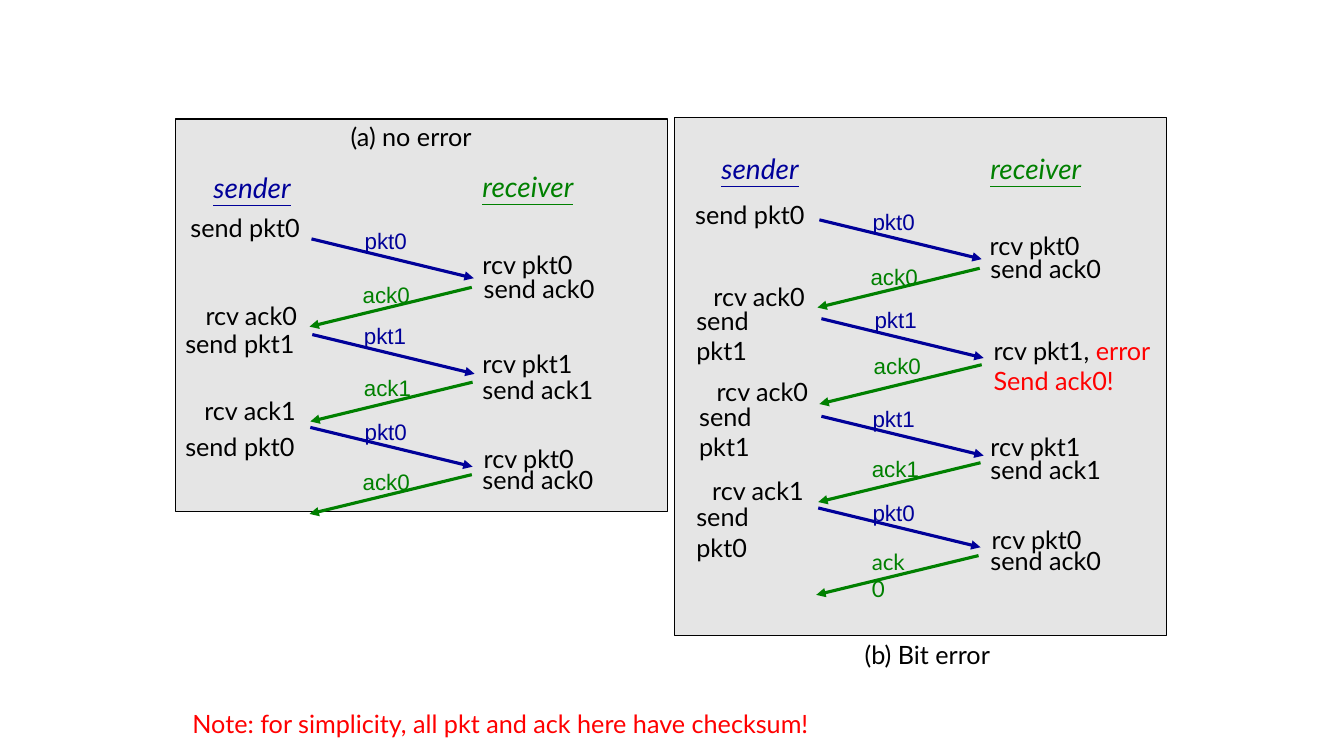
from dataclasses import dataclass
from typing import Any

from pptx import Presentation
from pptx import util as u
from pptx.dml.color import RGBColor
from pptx.enum import shapes, text
from pptx.oxml.ns import qn
from lxml import etree

COLORS = {"panel": "E5E5E5", "ink": "000000", "packet": "000099",
          "ack": "008000", "error": "FF0000"}
ARROW_WIDTH, ARROW_DROP = 4.09, 0.99
MESSAGE_WIDTHS = {"packet": 1.65, "ack": 1.75}


@dataclass
class Diagram:
    slide: Any
    body_font: str = "Lato"
    message_font: str = "Arial"

    def panel(self, left, top, width, height):
        area = self.slide.shapes.add_shape(
            shapes.MSO_SHAPE.RECTANGLE, u.Cm(left), u.Cm(top), u.Cm(width), u.Cm(height))
        area.shadow.inherit = False
        area.fill.solid()
        area.fill.fore_color.rgb = RGBColor.from_string(COLORS["panel"])
        area.line.color.rgb = RGBColor.from_string(COLORS["ink"])
        area.line.width = u.Pt(0.75)

    def label(self, left, top, width, lines, size=18, font=None, heading=False):
        height = size / 18 * len(lines)
        frame = self.slide.shapes.add_textbox(
            u.Cm(left), u.Cm(top), u.Cm(width), u.Cm(height)).text_frame
        frame.word_wrap = True
        frame.auto_size = text.MSO_AUTO_SIZE.SHAPE_TO_FIT_TEXT
        for index, line in enumerate(lines):
            paragraph = frame.add_paragraph() if index else frame.paragraphs[0]
            for words, color in line:
                run = paragraph.add_run()
                run.text = words
                run.font.size = u.Pt(size)
                run.font.name = font or self.body_font
                run.font.color.rgb = RGBColor.from_string(COLORS[color])
                if heading:
                    run.font.italic = run.font.underline = True

    def heading(self, left, top, width, words, color):
        self.label(left, top, width, [[(words, color)]], size=20, heading=True)

    def step(self, left, top, words, width=3.35):
        self.label(left, top, width, [[(words, "ink")]])

    def arrow(self, left, top, color):
        start, end = left, left + ARROW_WIDTH
        if color == "ack":
            start, end = end, start
        line = self.slide.shapes.add_connector(
            shapes.MSO_CONNECTOR.STRAIGHT,
            u.Cm(start), u.Cm(top), u.Cm(end), u.Cm(top + ARROW_DROP))
        line.line.color.rgb = RGBColor.from_string(COLORS[color])
        line.line.width = u.Pt(2.25)
        etree.SubElement(line.line._get_or_add_ln(), qn("a:tailEnd"), type="triangle")
        etree.SubElement(line._element.spPr, qn("a:effectLst"))

    def message(self, words, left, top, label_left, label_top, width=None, font=None):
        color = "ack" if words.startswith("ack") else "packet"
        self.arrow(left, top, color)
        self.label(label_left, label_top, width or MESSAGE_WIDTHS[color],
                   [[(words, color)]], size=16, font=font or self.message_font)


NARROW = 3.24
PANELS = [(16.99, 2.95, 12.4, 13.06), (4.42, 3, 12.4, 9.9)]
HEADINGS = [
    (5.13, 4.17, 2.6, "sender", "packet"),
    (11.91, 4.14, 2.97, "receiver", "ack"),
    (17.93, 3.68, 2.6, "sender", "packet"),
    (24.71, 3.68, 2.97, "receiver", "ack"),
]
NO_ERROR_STEPS = [
    (4.55, 5.23, "send pkt0"),
    (4.93, 7.44, "rcv ack0"),
    (4.42, 8.15, "send pkt1"),
    (4.9, 9.83, "rcv ack1"),
    (4.42, 10.74, "send pkt0"),
    (11.91, 6.17, "rcv pkt0"),
    (11.94, 6.76, "send ack0"),
    (11.91, 8.66, "rcv pkt1"),
    (11.91, 9.3, "send ack1"),
    (11.94, 11.05, "rcv pkt0"),
    (11.91, 11.58, "send ack0"),
]
BIT_ERROR_STEPS = [
    (17.27, 4.9, "send pkt0"),
    (17.73, 6.96, "rcv ack0"),
    (17.3, 7.57, "send pkt1", NARROW),
    (17.81, 9.37, "rcv ack0"),
    (17.37, 9.98, "send pkt1", NARROW),
    (17.7, 11.86, "rcv ack1"),
    (17.3, 12.52, "send pkt0", NARROW),
    (24.69, 5.69, "rcv pkt0"),
    (24.71, 6.27, "send ack0"),
    (24.71, 10.74, "rcv pkt1"),
    (24.71, 11.33, "send ack1"),
    (24.74, 13.08, "rcv pkt0"),
    (24.71, 13.61, "send ack0"),
]
NO_ERROR_MESSAGES = [
    ("pkt0", 7.85, 6.02, 8.94, 5.59),
    ("ack0", 7.8, 7.24, 8.89, 6.96),
    ("pkt1", 7.87, 8.43, 8.92, 8),
    ("ack1", 7.82, 9.63, 8.92, 9.3),
    ("pkt0", 7.82, 10.77, 8.94, 10.41),
    ("ack0", 7.8, 11.96, 8.89, 11.66),
]
BIT_ERROR_MESSAGES = [
    ("pkt0", 20.65, 5.54, 21.74, 5.11),
    ("ack0", 20.6, 6.76, 21.69, 6.5),
    ("pkt1", 20.7, 8.03, 21.79, 7.59),
    ("ack0", 20.65, 9.19, 21.77, 8.76),
    ("pkt1", 20.7, 10.49, 21.74, 10.08),
    ("ack1", 20.62, 11.66, 21.72, 11.35),
    ("pkt0", 20.62, 12.8, 21.74, 12.45),
    ("ack0", 20.57, 14, 21.72, 13.69, 1.64, "Lato"),
]


def main():
    deck = Presentation()
    deck.slide_width, deck.slide_height = u.Cm(33.87), u.Cm(19.05)
    diagram = Diagram(deck.slides.add_slide(deck.slide_layouts[6]))
    for panel in PANELS:
        diagram.panel(*panel)
    for heading in HEADINGS:
        diagram.heading(*heading)
    for step in NO_ERROR_STEPS + BIT_ERROR_STEPS:
        diagram.step(*step)
    for message in NO_ERROR_MESSAGES + BIT_ERROR_MESSAGES:
        diagram.message(*message)
    diagram.step(8.59, 2.92, "(a) no error", 3.81)
    diagram.step(21.54, 15.98, "(b) Bit error", 3.89)
    diagram.label(24.79, 8.33, 4.57, [
        [("rcv pkt1, ", "ink"), ("error", "error")],
        [("Send ack0!", "error")],
    ])
    diagram.label(4.6, 17.73, 16.51, [
        [("Note: for simplicity, all pkt and ack here have checksum!", "error")],
    ])
    deck.save("out.pptx")


if __name__ == "__main__":
    main()
